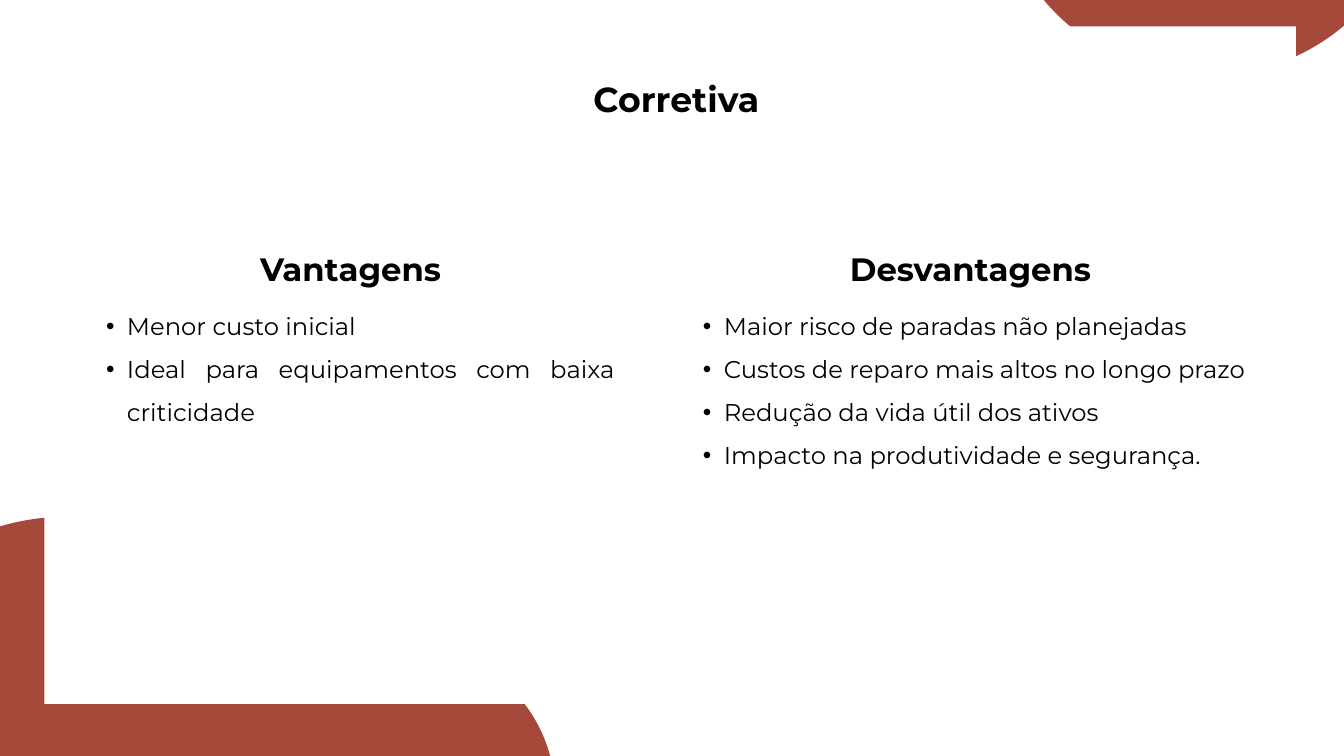
from dataclasses import dataclass

from lxml import etree
from pptx import Presentation
from pptx.dml.color import RGBColor
from pptx.enum import shapes, text
from pptx.oxml import ns
from pptx.util import Cm, Pt

HUES = {"rust": "A5493A", "white": "FFFFFF", "black": "000000"}
FONT = "Montserrat"


@dataclass
class Box:
    left: float
    top: float
    width: float
    height: float

    def place(self, shape) -> None:
        shape.left, shape.top = Cm(self.left), Cm(self.top)
        shape.width, shape.height = Cm(self.width), Cm(self.height)


@dataclass
class Style:
    size: float
    line: float
    align: text.PP_ALIGN
    bold: bool = False
    dots: bool = False


@dataclass
class Form:
    kind: shapes.MSO_SHAPE
    box: Box
    hue: str


@dataclass
class Column:
    head: str
    span: float
    box: Box
    items: list[str]


TITLE = Style(37.2, 52.1, text.PP_ALIGN.CENTER, bold=True)
HEAD = Style(34.6, 48.4, text.PP_ALIGN.CENTER, bold=True)
LIST = Style(26, 46, text.PP_ALIGN.JUSTIFY, dots=True)

OVAL = shapes.MSO_SHAPE.OVAL
FORMS = [
    Form(OVAL, Box(-6.48, 19.53, 18.08, 18.08), "rust"),
    Form(OVAL, Box(9.83, 24.43, 11.15, 11.15), "rust"),
    Form(OVAL, Box(37.57, -13.21, 16.08, 16.08), "rust"),
    Form(shapes.MSO_SHAPE.RECTANGLE, Box(1.68, 1, 47.3, 25.61), "white"),
]

COLUMNS = [
    Column("Vantagens", 6.91, Box(3.25, 11.25, 20, 4.72), [
        "Menor custo inicial",
        "Ideal para equipamentos com baixa criticidade",
    ]),
    Column("Desvantagens", 9.17, Box(25.81, 11.25, 21.74, 6.35), [
        "Maior risco de paradas não planejadas",
        "Custos de reparo mais altos no longo prazo",
        "Redução da vida útil dos ativos",
        "Impacto na produtividade e segurança.",
    ]),
]


def add_dot(para) -> None:
    """Give the paragraph a bullet with a hanging indent."""
    para.level = 1
    props = para._p.get_or_add_pPr()
    props.set("marL", str(Cm(1.55)))
    props.set("indent", str(Cm(-0.79)))
    etree.SubElement(props, ns.qn("a:buFont")).set("typeface", "Arial")
    etree.SubElement(props, ns.qn("a:buChar")).set("char", "•")


def write(holder, box: Box, lines: list[str], style: Style) -> None:
    box.place(holder)
    frame = holder.text_frame
    frame.text = "\n".join(lines)
    frame.margin_left = frame.margin_right = 0
    frame.margin_top = frame.margin_bottom = 0
    frame.word_wrap = True
    frame.auto_size = text.MSO_AUTO_SIZE.NONE
    frame.vertical_anchor = text.MSO_ANCHOR.TOP
    for para in frame.paragraphs:
        para.alignment = style.align
        para.line_spacing = Pt(style.line)
        para.space_before = para.space_after = Pt(0)
        if style.dots:
            add_dot(para)
        for run in para.runs:
            run.font.name = FONT
            run.font.size = Pt(style.size)
            run.font.bold = style.bold
            run.font.color.rgb = RGBColor.from_string(HUES["black"])


def draw(slide, form: Form, rank: int) -> None:
    """Add a plain shape behind the text, at the given depth."""
    shape = slide.shapes.add_shape(form.kind, 0, 0, 0, 0)
    form.box.place(shape)
    shape.shadow.inherit = False
    shape.fill.solid()
    shape.fill.fore_color.rgb = RGBColor.from_string(HUES[form.hue])
    shape.line.fill.background()
    slide.shapes._spTree.insert(2 + rank, shape._element)


def main() -> None:
    deck = Presentation()
    deck.slide_width, deck.slide_height = Cm(50.8), Cm(28.58)
    slide = deck.slides.add_slide(deck.slide_layouts.get_by_name("Comparison"))

    for rank, form in enumerate(FORMS):
        draw(slide, form, rank)

    title, *slots = slide.placeholders
    write(title, Box(22.15, 2.67, 6.83, 1.75), ["Corretiva"], TITLE)
    for col, head, body in zip(COLUMNS, slots[::2], slots[1::2]):
        left = col.box.left + (col.box.width - col.span) / 2
        write(head, Box(left, 9.19, col.span, 1.63), [col.head], HEAD)
        write(body, col.box, col.items, LIST)

    deck.save("out.pptx")


if __name__ == "__main__":
    main()
